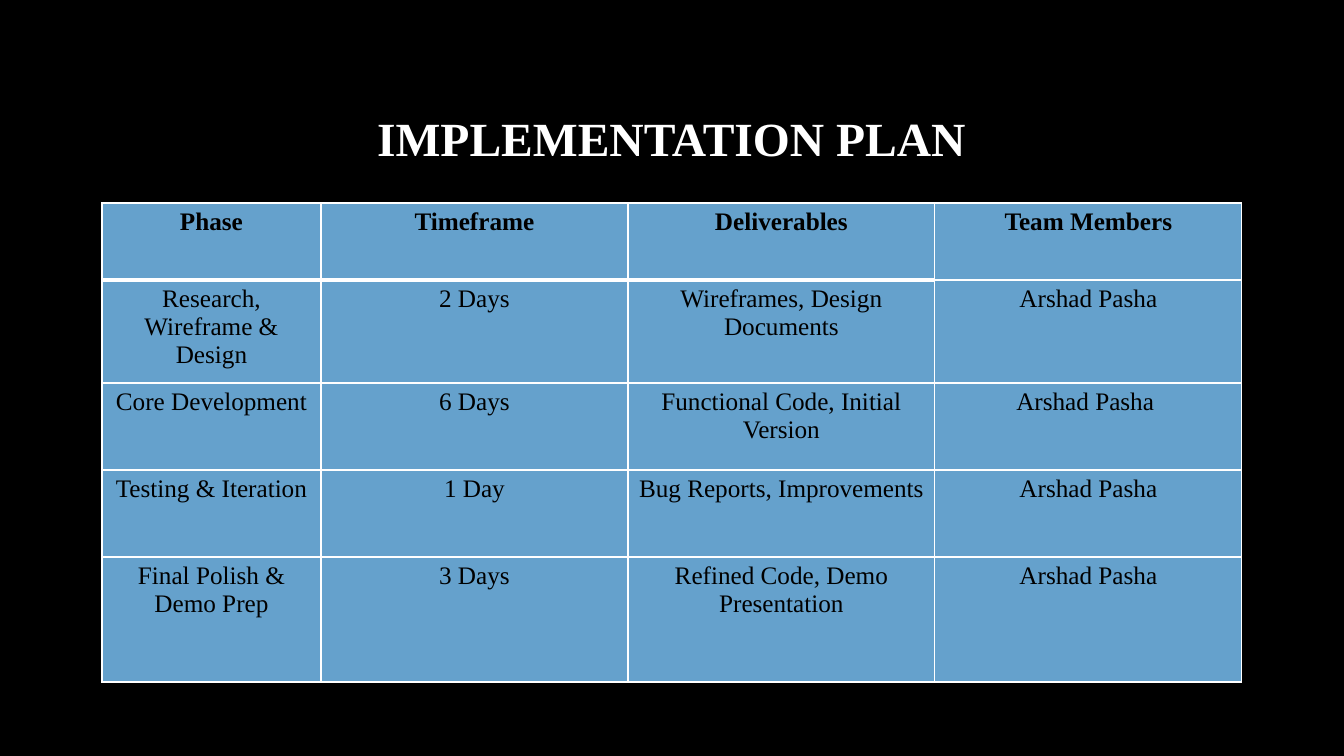
from lxml.etree import SubElement
from pptx import Presentation
from pptx.dml.color import RGBColor
from pptx.enum.text import MSO_ANCHOR as Anchor, PP_ALIGN as Align
from pptx.oxml.ns import qn
from pptx.util import Pt

# Content
TITLE = "IMPLEMENTATION PLAN"
PLAN = [
    ("Phase", "Timeframe", "Deliverables", "Team Members"),
    ("Research, Wireframe & Design", "2 Days", "Wireframes, Design Documents", "Arshad Pasha"),
    ("Core Development", "6 Days", "Functional Code, Initial Version", "Arshad Pasha "),
    ("Testing & Iteration", "1 Day", "Bug Reports, Improvements", "Arshad Pasha"),
    ("Final Polish & Demo Prep", "3 Days", "Refined Code, Demo Presentation", "Arshad Pasha"),
]

# Layout in px
SLIDE_WIDTH, SLIDE_HEIGHT = 1344, 756
TITLE_BOX = (101, 68, 1141, 146)
TABLE_LEFT, TABLE_TOP = 102, 203
COLUMN_WIDTHS = [219, 307, 307, 307]
ROW_HEIGHTS = [77, 103, 87, 87, 125]
THICK_COLUMNS = 3  # columns with a heavy rule under the header

FONT = "Times New Roman"
BLACK = RGBColor(0x00, 0x00, 0x00)
WHITE = RGBColor(0xFF, 0xFF, 0xFF)
BLUE = RGBColor(0x65, 0xA1, 0xCC)


def px(length):
    return round(length * 12192000 / SLIDE_WIDTH)


def add_text(frame, text, size, color, bold):
    para = frame.paragraphs[0]
    para.alignment = Align.CENTER
    span = para.add_run()
    span.text = text
    span.font.name = FONT
    span.font.size = Pt(size)
    span.font.bold = bold
    span.font.color.rgb = color
    return para


def add_borders(cell, top, bottom):
    properties = cell._tc.get_or_add_tcPr()
    for side, width in (("L", 1), ("R", 1), ("T", top), ("B", bottom)):
        line = SubElement(properties, qn(f"a:ln{side}"), w=str(Pt(width)))
        fill = SubElement(line, qn("a:solidFill"))
        SubElement(fill, qn("a:srgbClr"), val=str(WHITE))


deck = Presentation()
deck.slide_width, deck.slide_height = px(SLIDE_WIDTH), px(SLIDE_HEIGHT)
page = deck.slides.add_slide(deck.slide_layouts[5])
page.background.fill.solid()
page.background.fill.fore_color.rgb = BLACK

# Title
title = page.shapes.title
title.left, title.top, title.width, title.height = map(px, TITLE_BOX)
title.text_frame.vertical_anchor = Anchor.MIDDLE
add_text(title.text_frame, TITLE, 34, WHITE, True).line_spacing = 0.9

# Plan table
table = page.shapes.add_table(
    len(PLAN), len(COLUMN_WIDTHS), px(TABLE_LEFT), px(TABLE_TOP),
    px(sum(COLUMN_WIDTHS)), px(sum(ROW_HEIGHTS))).table
for column, width in zip(table.columns, COLUMN_WIDTHS):
    column.width = px(width)
for row, height in zip(table.rows, ROW_HEIGHTS):
    row.height = px(height)

for row_index, entries in enumerate(PLAN):
    for column_index, text in enumerate(entries):
        cell = table.cell(row_index, column_index)
        rule = 3 if column_index < THICK_COLUMNS else 1
        add_borders(cell, top=rule if row_index == 1 else 1,
                    bottom=rule if row_index == 0 else 1)
        cell.fill.solid()
        cell.fill.fore_color.rgb = BLUE
        add_text(cell.text_frame, text, 18, BLACK, row_index == 0)

deck.save("out.pptx")
